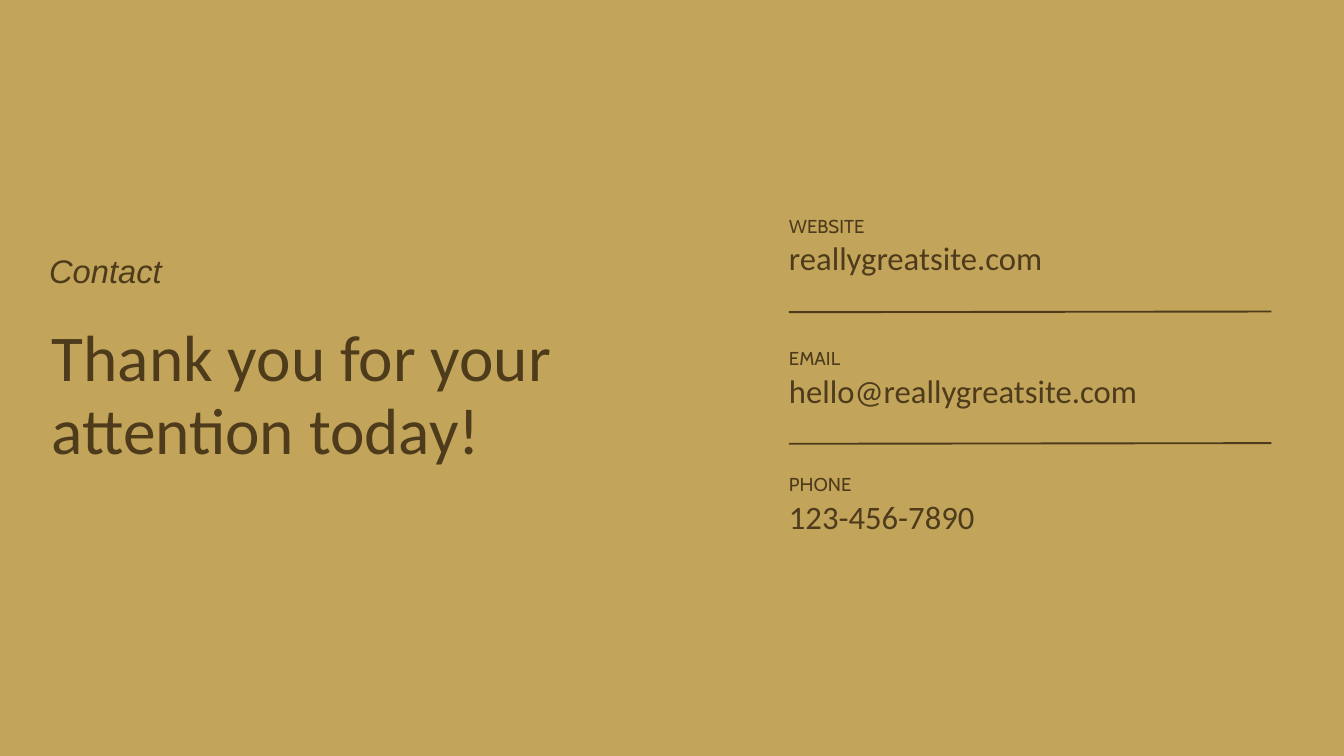
from pptx import Presentation
from pptx.dml.color import RGBColor
from pptx.enum.shapes import MSO_CONNECTOR
from pptx.oxml.ns import qn
from pptx.util import Pt
from lxml.etree import SubElement

GOLD = RGBColor(0xC2, 0xA5, 0x5A)
BROWN = RGBColor(0x4E, 0x3B, 0x1C)

LABEL = {"name": "Cabin", "size": Pt(20)}
VALUE = {"name": "Calibri", "size": Pt(35)}
TITLE = {"name": "Calibri", "size": Pt(70)}
TOPIC = {"name": "Arial", "size": Pt(35), "italic": True}

LEFT, WIDTH = 845.3, 517
ROWS = [
    (226, "WEBSITE", "reallygreatsite.com"),
    (367.8, "EMAIL", "hello@reallygreatsite.com"),
    (503, "PHONE", "123-456-7890"),
]
RULES = [334.5, 475.5]


def add_text(slide, text, box, lead, style):
    frame = slide.shapes.add_textbox(*map(Pt, box)).text_frame
    frame.word_wrap = True
    for side in ("left", "top", "right", "bottom"):
        setattr(frame, f"margin_{side}", 0)
    para = frame.paragraphs[0]
    para.line_spacing = Pt(lead)
    run = para.add_run()
    run.text = text
    for key, value in style.items():
        setattr(run.font, key, value)
    run.font.color.rgb = BROWN


def add_rule(slide, top):
    rule = slide.shapes.add_connector(
        MSO_CONNECTOR.STRAIGHT, Pt(LEFT), Pt(top), Pt(LEFT + WIDTH), Pt(top - 0.7)
    )
    rule.line.color.rgb = BROWN
    rule.line.width = Pt(2)
    SubElement(rule._element.spPr, qn("a:effectLst"))


def add_row(slide, top, label, value):
    add_text(slide, label, (LEFT, top, WIDTH, 28), 28, LABEL)
    add_text(slide, value, (LEFT, top + 29.2, WIDTH, 41), 42, VALUE)


def main():
    deck = Presentation()
    deck.slide_width, deck.slide_height = Pt(1440), Pt(810)
    slide = deck.slides.add_slide(deck.slide_layouts[6])
    slide.background.fill.solid()
    slide.background.fill.fore_color.rgb = GOLD

    for top in RULES:
        add_rule(slide, top)
    for row in ROWS:
        add_row(slide, *row)

    title = "Thank you for your attention today!"
    add_text(slide, title, (55.4, 344.2, 652.3, 158.4), 78.4, TITLE)
    add_text(slide, "Contact", (52.6, 275.8, 652.3, 38.2), 35, TOPIC)
    deck.save("out.pptx")


if __name__ == "__main__":
    main()
